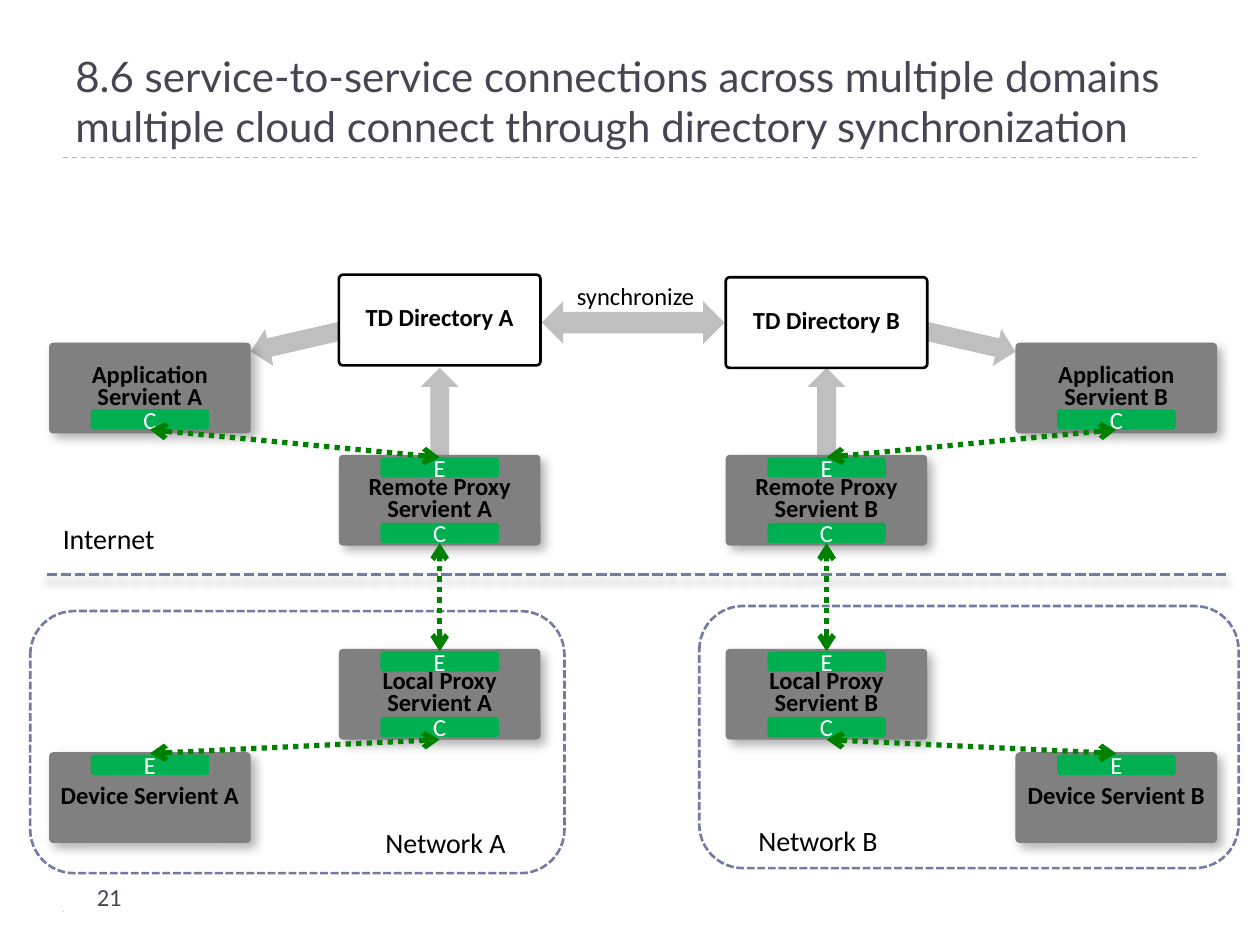
"""Build a slide on service connections across two synchronized cloud domains."""
import pptx
import pptx.dml.color
import pptx.enum.dml
import pptx.enum.shapes
import pptx.enum.text
import pptx.oxml
import pptx.oxml.ns
import pptx.util

SHAPE = pptx.enum.shapes.MSO_SHAPE
ANCHOR = pptx.enum.text.MSO_ANCHOR
ALIGN = pptx.enum.text.PP_ALIGN
DASH = pptx.enum.dml.MSO_LINE
color = pptx.dml.color.RGBColor.from_string
NAMESPACE = pptx.oxml.ns.nsdecls("a")
SHADOW = (
    f'<a:outerShdw {NAMESPACE} blurRad="%d" dist="%d" dir="%d" algn="ctr" rotWithShape="0">'
    '<a:srgbClr val="000000"><a:alpha val="%d"/></a:srgbClr></a:outerShdw>'
)

presentation = pptx.Presentation()
presentation.slide_width = pptx.util.Inches(10)
presentation.slide_height = pptx.util.Inches(7.5)
slide = presentation.slides.add_slide(presentation.slide_layouts[6])
CELL = presentation.slide_width / 100

LABEL = {"size": 14, "name": "Calibri", "bold": False, "color": "000000"}
PLACE = LABEL | {"size": 16}
TITLE = LABEL | {"size": 24, "name": "Lato", "color": "464653"}
NUMBER = LABEL | {"color": "464653"}
BOLD = LABEL | {"bold": True}
CHIP = LABEL | {"color": "FFFFFF"}
CENTERED = {"vertical_anchor": ANCHOR.MIDDLE, "word_wrap": False}
FLUSH = CENTERED | dict.fromkeys(("margin_left", "margin_right", "margin_top", "margin_bottom"), 0)
FITTED = {"word_wrap": False, "auto_size": pptx.enum.text.MSO_AUTO_SIZE.SHAPE_TO_FIT_TEXT}


def draw(kind, bounds, fill=None, outline=None, text="", font=LABEL, frame=FITTED,
         paragraph_format=None, corner=None, rotation=0, shadow=None):
    bounds = [round(value * CELL) for value in bounds]
    if kind is None:
        shape = slide.shapes.add_textbox(*bounds)
    else:
        shape = slide.shapes.add_shape(kind, *bounds)
        shape.shadow.inherit = False
    shape.rotation = rotation
    if corner is not None:
        shape.adjustments[0] = corner
    if fill:
        shape.fill.solid()
        shape.fill.fore_color.rgb = color(fill)
    else:
        shape.fill.background()
    if outline:
        line_color, line_width, dash = outline
        shape.line.color.rgb = color(line_color)
        shape.line.width = pptx.util.Pt(line_width)
        shape.line.dash_style = dash
    else:
        shape.line.fill.background()
    if shadow:
        effects = shape._element.spPr.find(pptx.oxml.ns.qn("a:effectLst"))
        effects.append(pptx.oxml.parse_xml(SHADOW % shadow))
    if text:
        shape.text_frame.text = text
        for name, value in frame.items():
            setattr(shape.text_frame, name, value)
        for paragraph in shape.text_frame.paragraphs:
            for name, value in (paragraph_format or {}).items():
                setattr(paragraph, name, value)
            for name in ("name", "bold"):
                setattr(paragraph.font, name, font[name])
            paragraph.font.size = pptx.util.Pt(font["size"])
            paragraph.font.color.rgb = color(font["color"])


def connect(start, end, line_color, width, dash, arrows=False, shadow=None):
    points = [round(value * CELL) for value in (*start, *end)]
    connector = slide.shapes.add_connector(pptx.enum.shapes.MSO_CONNECTOR.STRAIGHT, *points)
    connector.line.color.rgb = color(line_color)
    connector.line.width = pptx.util.Pt(width)
    connector.line.dash_style = dash
    if arrows:
        for tag in ("headEnd", "tailEnd"):
            connector.line._ln.append(pptx.oxml.parse_xml(f'<a:{tag} {NAMESPACE} type="arrow"/>'))
    effects = pptx.oxml.parse_xml(f"<a:effectLst {NAMESPACE}/>")
    if shadow:
        effects.append(pptx.oxml.parse_xml(SHADOW % shadow))
    connector._element.spPr.append(effects)


connect((5, 12.5), (95, 12.5), "9FB8CD", 0.75, DASH.DASH)
draw(SHAPE.ISOSCELES_TRIANGLE, (4.6, 70.7, 2.1, 1.3), "9FB8CD", rotation=90)
for bounds in ((0.8, 21.1, 98.8, 51.2), (1.2, 19.4, 98.8, 51.2)):
    draw(SHAPE.RECTANGLE, bounds, "FFFFFF")

draw(None, (5, 2.5, 90, 10), font=TITLE,
     text="8.6 service-to-service connections across multiple domains\v"
          "multiple cloud connect through directory synchronization",
     frame={"word_wrap": True, "vertical_anchor": ANCHOR.BOTTOM})
draw(None, (6.7, 69.5, 21.7, 4), text="21", font=NUMBER, frame={"word_wrap": True})

connect((3.7, 45.6), (97.3, 45.6), "727CA3", 2, DASH.SQUARE_DOT,
        shadow=(50800, 43180, 5400000, 40000))
for bounds in ((2.4, 48.5, 42.4, 20.8), (55.5, 48.1, 42.8, 20.8)):
    draw(SHAPE.ROUNDED_RECTANGLE, bounds, outline=("727CA3", 1.5, DASH.SQUARE_DOT))
for text, bounds, font in (
    ("Internet", (4, 40.9, 9.4, 3.7), PLACE),
    ("Network A", (29.6, 65, 11.7, 3.7), PLACE),
    ("Network B", (59.2, 64.9, 11.7, 3.7), PLACE),
    ("synchronize", (44.8, 21.8, 11.4, 3.4), LABEL),
):
    draw(None, bounds, text=text, font=font)

BOX_WIDTH, BOX_HEIGHT = 16, 7.2
CHIP_WIDTH, CHIP_HEIGHT = 9.4, 1.6
OUTER, INNER = 11.9, 34.9
MIRROR = 100.5
SERVIENTS = (
    ("Application\nServient", OUTER, 27.2, {"C": 5.3}),
    ("Device Servient", OUTER, 59.7, {"E": 0.2}),
    ("Local Proxy\nServient", INNER, 51.5, {"C": 5.4, "E": 0.2}),
    ("Remote Proxy\nServient", INNER, 36.1, {"C": 5.4, "E": 0.2}),
)
LINKS = (
    ((INNER, 51.7), (INNER, 43.1)),
    ((OUTER, 59.8), (INNER, 58.7)),
    ((OUTER, 34.1), (INNER, 36.3)),
)
TIGHT = {"alignment": ALIGN.CENTER, "line_spacing": 0.75}

for domain, origin, direction, directory_top in (("A", 0, 1, 21.8), ("B", MIRROR, -1, 22)):
    for center, top, height, angle in ((23.9, 22.9, 8.2, 77.1), (INNER, 29.2, 7.9, 180)):
        draw(SHAPE.DOWN_ARROW, (origin + direction * center - 1.5, top, 3, height),
             "BFBFBF", rotation=direction * angle)
    for name, center, top, chips in SERVIENTS:
        middle = origin + direction * center
        draw(SHAPE.ROUNDED_RECTANGLE, (middle - BOX_WIDTH / 2, top, BOX_WIDTH, BOX_HEIGHT),
             "808080", text=f"{name} {domain}", font=BOLD, frame=FLUSH,
             paragraph_format=TIGHT, corner=0.045, shadow=(76200, 50800, 2700000, 30000))
        for letter, offset in chips.items():
            draw(SHAPE.ROUNDED_RECTANGLE,
                 (middle - CHIP_WIDTH / 2, top + offset, CHIP_WIDTH, CHIP_HEIGHT),
                 "00B050", text=letter, font=CHIP, frame=CENTERED,
                 paragraph_format={"alignment": ALIGN.CENTER}, corner=0.15)
    for (start, start_row), (end, end_row) in LINKS:
        connect((origin + direction * start, start_row), (origin + direction * end, end_row),
                "008000", 3, DASH.ROUND_DOT, arrows=True)
    draw(SHAPE.ROUNDED_RECTANGLE,
         (origin + direction * INNER - BOX_WIDTH / 2, directory_top, BOX_WIDTH, BOX_HEIGHT),
         "FFFFFF", ("000000", 1.5, DASH.SOLID), f"TD Directory {domain}", BOLD, FLUSH,
         TIGHT, 0.045)

draw(SHAPE.LEFT_RIGHT_ARROW, (43, 23.9, 14.5, 3.4), "BFBFBF")

presentation.save("out.pptx")
